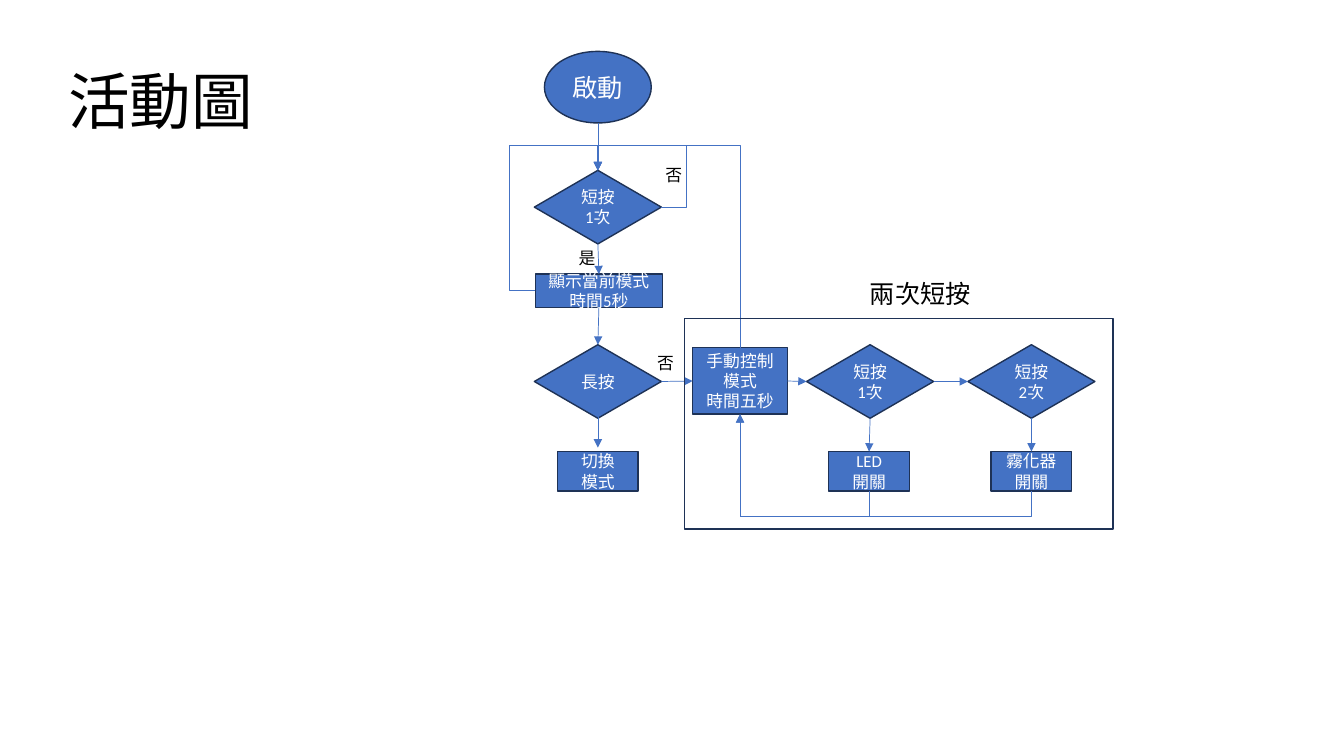
"""Builds the activity diagram slide."""
from lxml import etree
from pptx import Presentation
from pptx.dml.color import RGBColor
from pptx.enum.shapes import MSO_CONNECTOR, MSO_SHAPE
from pptx.enum.text import MSO_ANCHOR, MSO_AUTO_SIZE, PP_ALIGN
from pptx.oxml.ns import qn
from pptx.util import Inches, Pt

OVAL, RECT = MSO_SHAPE.OVAL, MSO_SHAPE.RECTANGLE
GEM = MSO_SHAPE.FLOWCHART_DECISION
STRAIGHT, ELBOW = MSO_CONNECTOR.STRAIGHT, MSO_CONNECTOR.ELBOW
MIDDLE, TOP_EDGE = MSO_ANCHOR.MIDDLE, MSO_ANCHOR.TOP
CENTER, START = PP_ALIGN.CENTER, PP_ALIGN.LEFT
GROW = MSO_AUTO_SIZE.SHAPE_TO_FIT_TEXT
TOP, LEFT, BOTTOM, RIGHT = range(4)

THEME = {
    "font": "Calibri", "fill": "4472C4", "edge": "1E3256",
    "dark": "000000", "light": "FFFFFF",
    "title": 44, "head": 18, "body": 12, "border": 1, "wire": 0.5,
}

TITLE = ("活動圖", (0.58, 0.31, 11.5, 1.45))
GEM_SIZE, BOX_SIZE = (1.26, 0.73), (0.8, 0.39)
NODES = {
    "start": (OVAL, 5.4, 0.51, (1.06, 0.71), ["啟動"], "head"),
    "press": (GEM, 5.3, 1.69, GEM_SIZE, ["短按", "1次"], "body"),
    "show": (RECT, 5.31, 2.72, (1.26, 0.33), ["顯示當前模式", "時間5秒"], "body"),
    "hold": (GEM, 5.3, 3.42, GEM_SIZE, ["長按"], "body"),
    "switch": (RECT, 5.53, 4.48, BOX_SIZE, ["切換", "模式"], "body"),
    "manual": (RECT, 6.87, 3.45, (0.94, 0.66), ["手動控制模式", "時間五秒"], "body"),
    "once": (GEM, 8, 3.42, GEM_SIZE, ["短按", "1次"], "body"),
    "twice": (GEM, 9.6, 3.42, GEM_SIZE, ["短按", "2次"], "body"),
    "led": (RECT, 8.22, 4.48, BOX_SIZE, ["LED", "開關"], "body"),
    "mist": (RECT, 9.83, 4.48, BOX_SIZE, ["霧化器", "開關"], "body"),
}
FRAME = (6.79, 3.16, 4.25, 2.09)
LABELS = [
    ("是", (5.64, 2.41, 0.37, 0.3), "body"),
    ("否", (6.5, 1.59, 0.37, 0.3), "body"),
    ("否", (6.42, 3.45, 0.37, 0.3), "body"),
    ("兩次短按", (8.53, 2.71, 1.21, 0.4), "head"),
]
LINKS = [
    ("press", BOTTOM, "show", TOP), ("show", BOTTOM, "hold", TOP),
    ("hold", RIGHT, "manual", LEFT), ("manual", RIGHT, "once", LEFT),
    ("once", RIGHT, "twice", LEFT), ("once", BOTTOM, "led", TOP),
    ("twice", BOTTOM, "mist", TOP),
]
LOOSE = [(5.93, 1.22, 5.93, 1.69), (5.93, 4.14, 5.93, 4.44)]
SIDED = [("press", RIGHT, 6.81), ("show", LEFT, 5.05)]
RISING = [("manual", TOP, "press", TOP, 1.44),
          ("led", BOTTOM, "manual", BOTTOM, 5.12),
          ("mist", BOTTOM, "manual", BOTTOM, 5.12)]
LOOP_Y = 1.44


def color(key):
    return RGBColor.from_string(THEME[key])


def write(frame, lines, size, ink, align, anchor, space=None):
    frame.vertical_anchor = anchor
    for i, text in enumerate(lines):
        para = frame.paragraphs[0] if i == 0 else frame.add_paragraph()
        para.alignment = align
        if space:
            para.line_spacing = space
        run = para.add_run()
        run.text = text
        run.font.name, run.font.size = THEME["font"], Pt(THEME[size])
        run.font.color.rgb = color(ink)
        run._r.get_or_add_rPr().set("lang", "zh-TW")


def block(slide, kind, area):
    shape = slide.shapes.add_shape(kind, *map(Inches, area))
    shape.shadow.inherit = False
    shape.line.color.rgb = color("edge")
    shape.line.width = Pt(THEME["border"])
    return shape


def label(slide, text, area, size, wrap=False, anchor=TOP_EDGE, space=None):
    box = slide.shapes.add_textbox(*map(Inches, area))
    box.text_frame.word_wrap = wrap
    if not wrap:
        box.text_frame.auto_size = GROW
    write(box.text_frame, [text], size, "dark", START, anchor, space)


def wire(slide, kind, ends=(0, 0, 0, 0)):
    line = slide.shapes.add_connector(kind, *map(Inches, ends))
    line.line.color.rgb = color("fill")
    line.line.width = Pt(THEME["wire"])
    etree.SubElement(line.line._get_or_add_ln(), qn("a:tailEnd"), type="triangle")
    etree.SubElement(line._element.spPr, qn("a:effectLst"))
    return line


def join(slide, kind, first, side, last, port):
    line = wire(slide, kind)
    line.begin_connect(first, side)
    line.end_connect(last, port)
    return line


def bend(line, preset, ratios):
    geom = line._element.spPr.find(qn("a:prstGeom"))
    geom.set("prst", preset)
    guides = geom.find(qn("a:avLst"))
    if guides is None:
        guides = etree.SubElement(geom, qn("a:avLst"))
    for i, ratio in enumerate(ratios, 1):
        etree.SubElement(guides, qn("a:gd"), name=f"adj{i}",
                         fmla=f"val {round(ratio * 100000)}")


def share(lane, start, end):
    return (Inches(lane) - start) / (end - start)


def turn(line):
    wide, high = line.width, line.height
    mid_x, mid_y = line.left + wide // 2, line.top + high // 2
    line.left, line.top = mid_x - high // 2, mid_y - wide // 2
    line.width, line.height = high, wide
    frame = line._element.spPr.find(qn("a:xfrm"))
    frame.set("rot", "16200000")
    frame.set("flipH", "0")
    frame.set("flipV", "1")


def main():
    deck = Presentation()
    deck.slide_width, deck.slide_height = Inches(13.33), Inches(7.5)
    slide = deck.slides.add_slide(deck.slide_layouts[6])
    label(slide, *TITLE, "title", True, MIDDLE, 0.9)
    nodes = {}
    for name, (kind, x, y, size, lines, type_size) in NODES.items():
        node = nodes[name] = block(slide, kind, (x, y, *size))
        node.fill.solid()
        node.fill.fore_color.rgb = color("fill")
        write(node.text_frame, lines, type_size, "light", CENTER, MIDDLE)
    for first, side, last, port in LINKS:
        join(slide, STRAIGHT, nodes[first], side, nodes[last], port)
    for ends in LOOSE:
        wire(slide, STRAIGHT, ends)
    for first, side, lane in SIDED:
        line = join(slide, ELBOW, nodes[first], side, nodes["press"], TOP)
        bend(line, "bentConnector4", [share(lane, line.begin_x, line.end_x),
                                      share(LOOP_Y, line.begin_y, line.end_y)])
    for first, side, last, port, lane in RISING:
        line = join(slide, ELBOW, nodes[first], side, nodes[last], port)
        bend(line, "bentConnector3", [share(lane, line.begin_y, line.end_y)])
        turn(line)
    block(slide, RECT, FRAME).fill.background()
    for text, area, size in LABELS:
        label(slide, text, area, size)
    deck.save("out.pptx")


if __name__ == "__main__":
    main()
